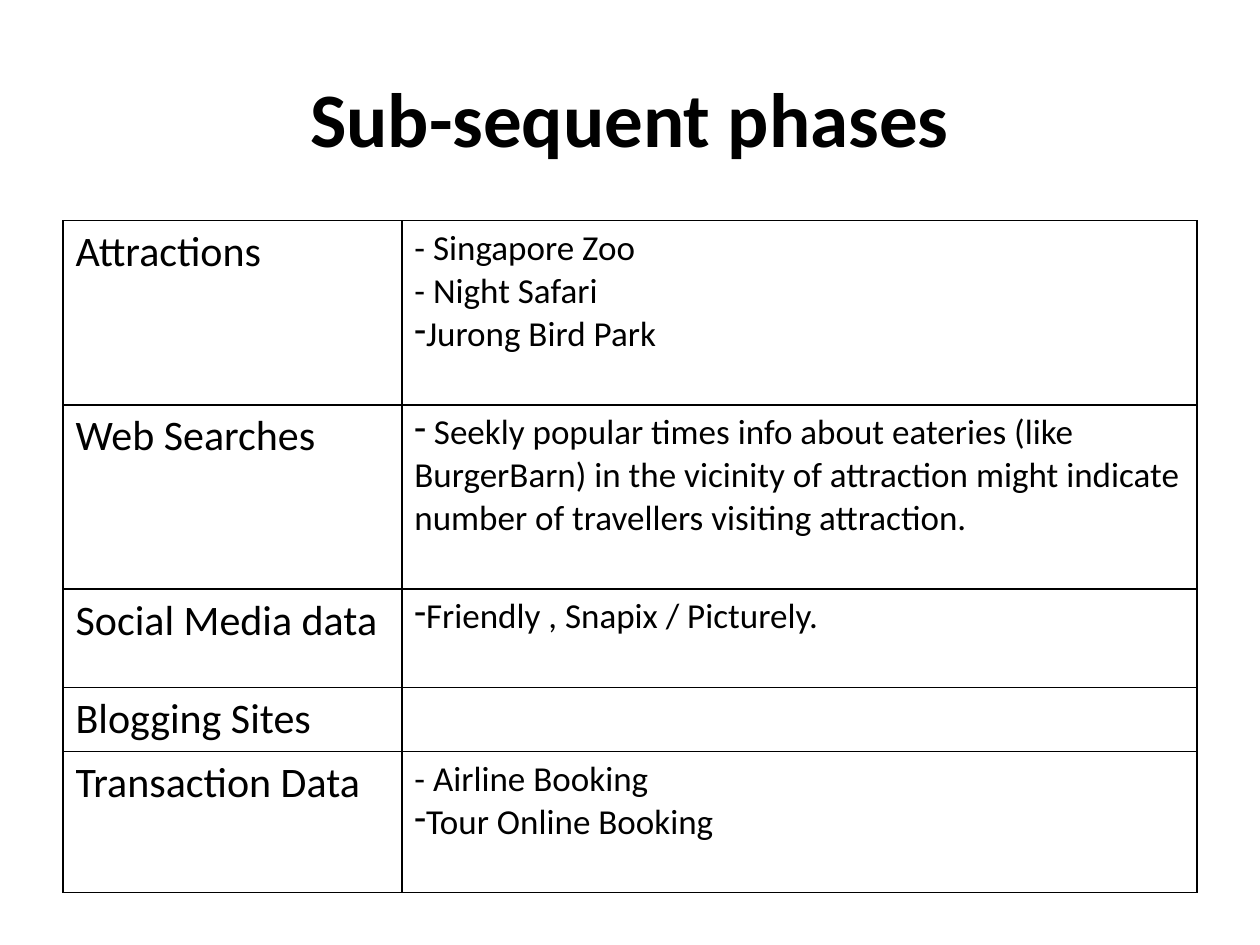
"""Build the slide of data sources for the subsequent phases."""
from dataclasses import dataclass

from lxml.etree import SubElement
from pptx import Presentation
from pptx.dml.color import RGBColor
from pptx.enum.text import MSO_ANCHOR, PP_ALIGN
from pptx.oxml import parse_xml
from pptx.oxml.ns import nsdecls, qn
from pptx.util import Cm, Pt

BLACK = RGBColor(0, 0, 0)
FONT_NAME = "Calibri"
LEFT = Cm(1.27)
COLUMN_WIDTHS = (Cm(6.83), Cm(16.03))


@dataclass(frozen=True)
class Entry:
    text: str
    bulleted: bool = False


@dataclass(frozen=True)
class Source:
    name: str
    height: float
    entries: tuple[Entry, ...] = ()


SOURCES = (
    Source("Attractions", 3.71, (
        Entry("- Singapore Zoo"),
        Entry("- Night Safari"),
        Entry("Jurong Bird Park", True),
    )),
    Source("Web Searches", 3.71, (
        Entry(" Seekly popular times info about eateries (like BurgerBarn) "
              "in the vicinity of attraction might indicate number of "
              "travellers visiting attraction.", True),
    )),
    Source("Social Media data", 1.99, (
        Entry("Friendly , Snapix / Picturely.", True),
    )),
    Source("Blogging Sites", 1.29),
    Source("Transaction Data", 2.84, (
        Entry("- Airline Booking"),
        Entry("Tour Online Booking", True),
    )),
)


def style_font(paragraph, size: float, bold: bool = False) -> None:
    font = paragraph.font
    font.name = FONT_NAME
    font.size = Pt(size)
    font.bold = bold
    font.color.rgb = BLACK


def add_title(slide, text: str) -> None:
    title = slide.shapes.add_textbox(LEFT, Cm(0.76), Cm(22.86), Cm(3.18))
    frame = title.text_frame
    frame.word_wrap = True
    frame.vertical_anchor = MSO_ANCHOR.MIDDLE
    paragraph = frame.paragraphs[0]
    paragraph.text = text
    paragraph.alignment = PP_ALIGN.CENTER
    style_font(paragraph, 44, bold=True)


def style_cell(cell) -> None:
    cell.fill.background()
    properties = cell._tc.get_or_add_tcPr()
    for position, side in enumerate(("lnL", "lnR", "lnT", "lnB")):
        properties.insert(position, parse_xml(
            f'<a:{side} {nsdecls("a")} w="{Pt(1)}"><a:solidFill>'
            f'<a:srgbClr val="{BLACK}"/></a:solidFill></a:{side}>'))


def write_entry(paragraph, entry: Entry) -> None:
    paragraph.text = entry.text
    paragraph.level = 1
    style_font(paragraph, 20)
    properties = paragraph._p.get_or_add_pPr()
    properties.set("marL", "0")
    properties.set("indent", "0")
    if entry.bulleted:
        bullet = SubElement(properties, qn("a:buChar"))
        bullet.set("char", "-")
        properties.insert(0, bullet)


def add_source_table(slide, sources: tuple[Source, ...]) -> None:
    height = Cm(sum(source.height for source in sources))
    table = slide.shapes.add_table(
        len(sources), len(COLUMN_WIDTHS), LEFT, Cm(4.45),
        sum(COLUMN_WIDTHS), height).table
    table.first_row = table.horz_banding = False
    for column, width in zip(table.columns, COLUMN_WIDTHS):
        column.width = width
    for row, source in zip(table.rows, sources):
        row.height = Cm(source.height)
        name_cell, entry_cell = row.cells
        style_cell(name_cell)
        style_cell(entry_cell)
        name_cell.text = source.name
        style_font(name_cell.text_frame.paragraphs[0], 24)
        frame = entry_cell.text_frame
        for index, entry in enumerate(source.entries):
            paragraph = frame.add_paragraph() if index else frame.paragraphs[0]
            write_entry(paragraph, entry)


def main() -> None:
    presentation = Presentation()
    presentation.slide_width = Cm(25.4)
    presentation.slide_height = Cm(19.05)
    slide = presentation.slides.add_slide(presentation.slide_layouts[6])
    add_title(slide, "Sub-sequent phases")
    add_source_table(slide, SOURCES)
    presentation.save("out.pptx")


if __name__ == "__main__":
    main()
